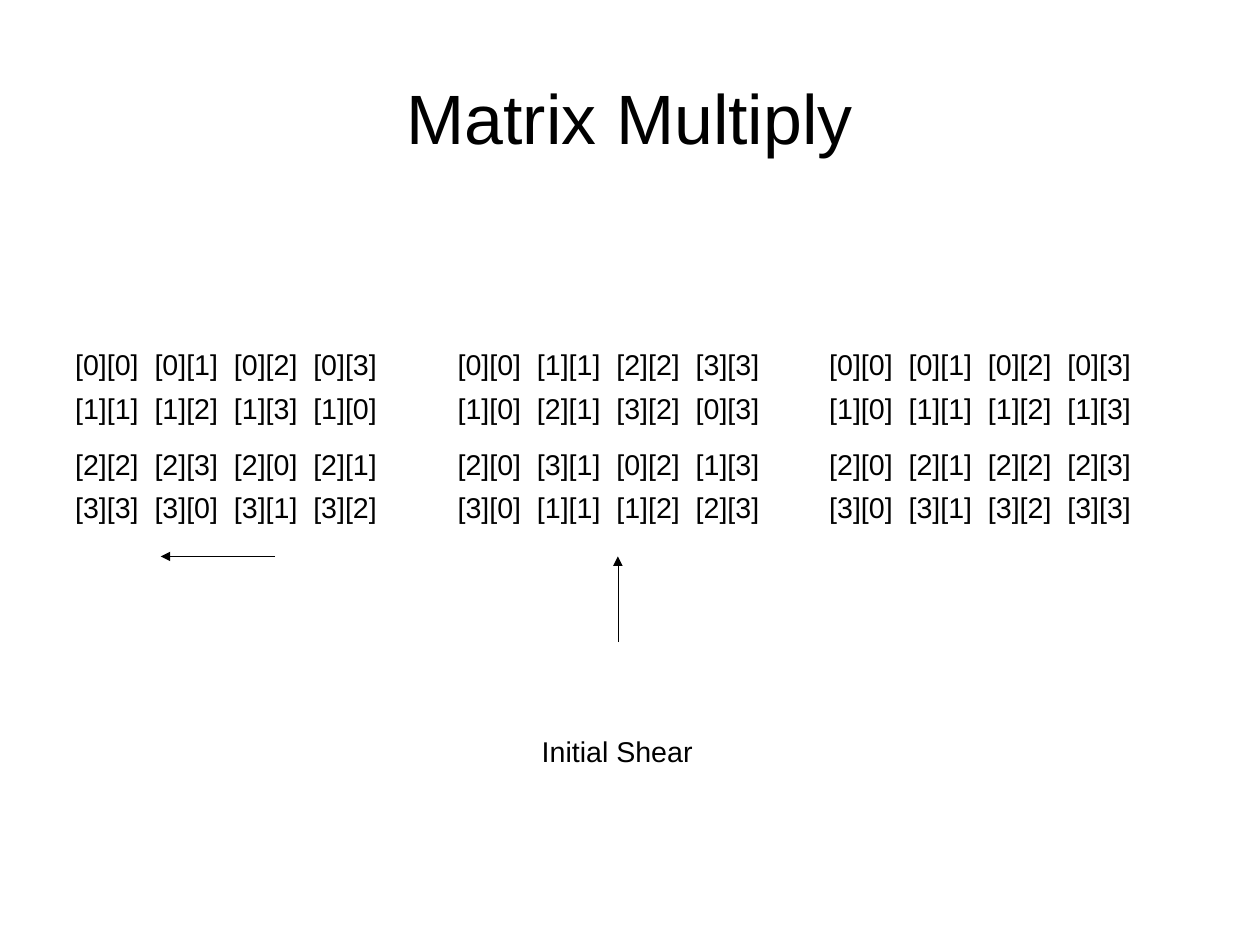
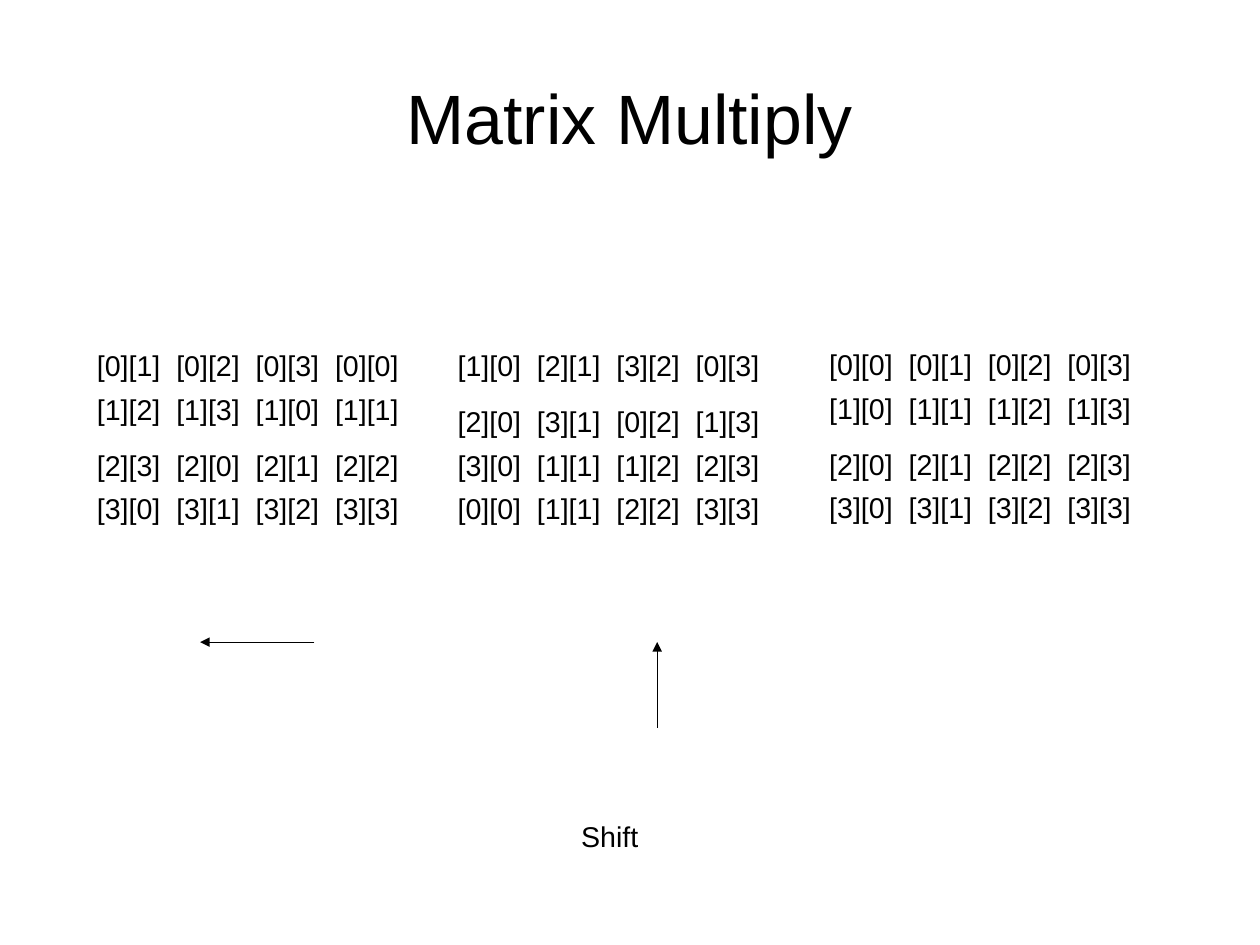
from dataclasses import dataclass

from lxml.etree import SubElement
from pptx import Presentation
from pptx.dml.color import RGBColor
from pptx.enum.shapes import MSO_CONNECTOR as Connector
from pptx.enum.text import MSO_ANCHOR as Anchor, MSO_AUTO_SIZE as AutoSize, PP_ALIGN as Align
from pptx.oxml.ns import qn
from pptx.util import Cm, Inches, Pt


@dataclass(frozen=True)
class Theme:
    ink: RGBColor = RGBColor(0, 0, 0)
    paper: RGBColor = RGBColor(255, 255, 255)
    font: str = "Arial"
    title_size: int = 44
    text_size: int = 18


theme = Theme()
presentation = Presentation()
presentation.slide_width, presentation.slide_height = Cm(28), Cm(21)


def place(left, top):
    return (round(presentation.slide_width * left / 100),
            round(presentation.slide_height * top / 100))


def write(shape, text, size, align, frame_format):
    frame = shape.text_frame
    for name, value in {"auto_size": AutoSize.NONE, **frame_format}.items():
        setattr(frame, name, value)
    frame.text = text
    paragraph = frame.paragraphs[0]
    paragraph.alignment = align
    for name, value in {"name": theme.font, "size": Pt(size)}.items():
        setattr(paragraph.runs[0].font, name, value)
    paragraph.runs[0].font.color.rgb = theme.ink
    return paragraph


title_format = {"vertical_anchor": Anchor.MIDDLE, "word_wrap": True, "margin_left": 0,
                "margin_right": 0, "margin_top": 0, "margin_bottom": 0}
row_format = {"word_wrap": True, "margin_right": Inches(0.05)}
label_format = {"word_wrap": False}

order = range(4)
row_height, row_gap = 4.59, 1.33
matrix_width = 25.77
tab_step, _ = place(6.3, 0)
left_sheared = [[(i, (i + j) % 4) for j in order] for i in order]
left_shifted = [row[1:] + row[:1] for row in left_sheared]
right_sheared = [[((i + j) % 4, j) for j in order] for i in order]
right_sheared[3][1] = (1, 1)
right_shifted = right_sheared[1:] + right_sheared[:1]
product = [[(i, j) for j in order] for i in order]

middle_column, product_column = 35.43, 64.92
first_row, shifted_row = 36.16, 36.26
product_block = (product, product_column, first_row, 2)
steps = [
    ("Initial Shear", 42.1, 13.79, 0, 0,
     [(left_sheared, 5.08, first_row, 2), (right_sheared, middle_column, first_row, 2),
      product_block]),
    ("Shift", 45.23, 6.35, 3.12, 9.07,
     [(left_shifted, 6.8, shifted_row, 2), (right_shifted, middle_column, shifted_row, 1),
      product_block]),
]
arrows = [((21.83, 58.88), (12.76, 58.88)), ((49.04, 67.95), (49.04, 58.88))]

for label, label_left, label_width, right, down, matrices in steps:
    slide = presentation.slides.add_slide(presentation.slide_layouts[5])
    slide.background.fill.solid()
    slide.background.fill.fore_color.rgb = theme.paper

    title = slide.shapes.title
    title.left, title.top = place(5, 4)
    title.width, title.height = place(90, 16.7)
    write(title, "Matrix Multiply", theme.title_size, Align.CENTER, title_format)

    for matrix, left, top, gap_row in matrices:
        for index, row in enumerate(matrix):
            row_top = top + index * row_height + (index >= gap_row) * row_gap
            shape = slide.shapes.add_textbox(*place(left, row_top),
                                             *place(matrix_width, row_height))
            text = "\t".join(f"[{i}][{j}]" for i, j in row)
            paragraph = write(shape, text, theme.text_size, Align.LEFT, row_format)
            tabs = SubElement(paragraph._p.get_or_add_pPr(), qn("a:tabLst"))
            for stop in order[1:]:
                SubElement(tabs, qn("a:tab"), pos=str(stop * tab_step), algn="l")

    for start, end in arrows:
        arrow = slide.shapes.add_connector(
            Connector.STRAIGHT,
            *place(start[0] + right, start[1] + down),
            *place(end[0] + right, end[1] + down))
        arrow.line.color.rgb = theme.ink
        outline = arrow.line._get_or_add_ln()
        outline.set("w", "0")
        SubElement(outline, qn("a:tailEnd"), type="triangle")
        SubElement(arrow._element.spPr, qn("a:effectLst"))

    shape = slide.shapes.add_textbox(*place(label_left, 77.03 + down),
                                     *place(label_width, row_height))
    write(shape, label, theme.text_size, Align.LEFT, label_format)

presentation.save("out.pptx")
